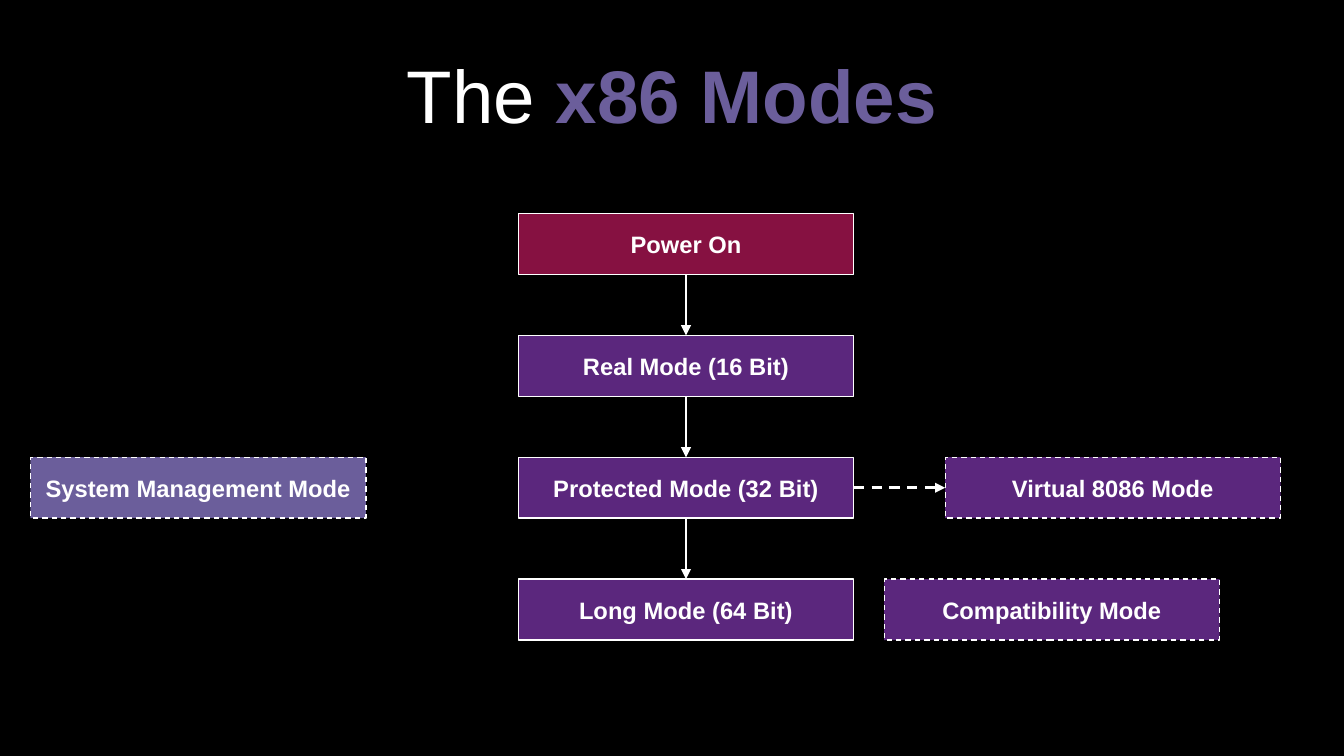
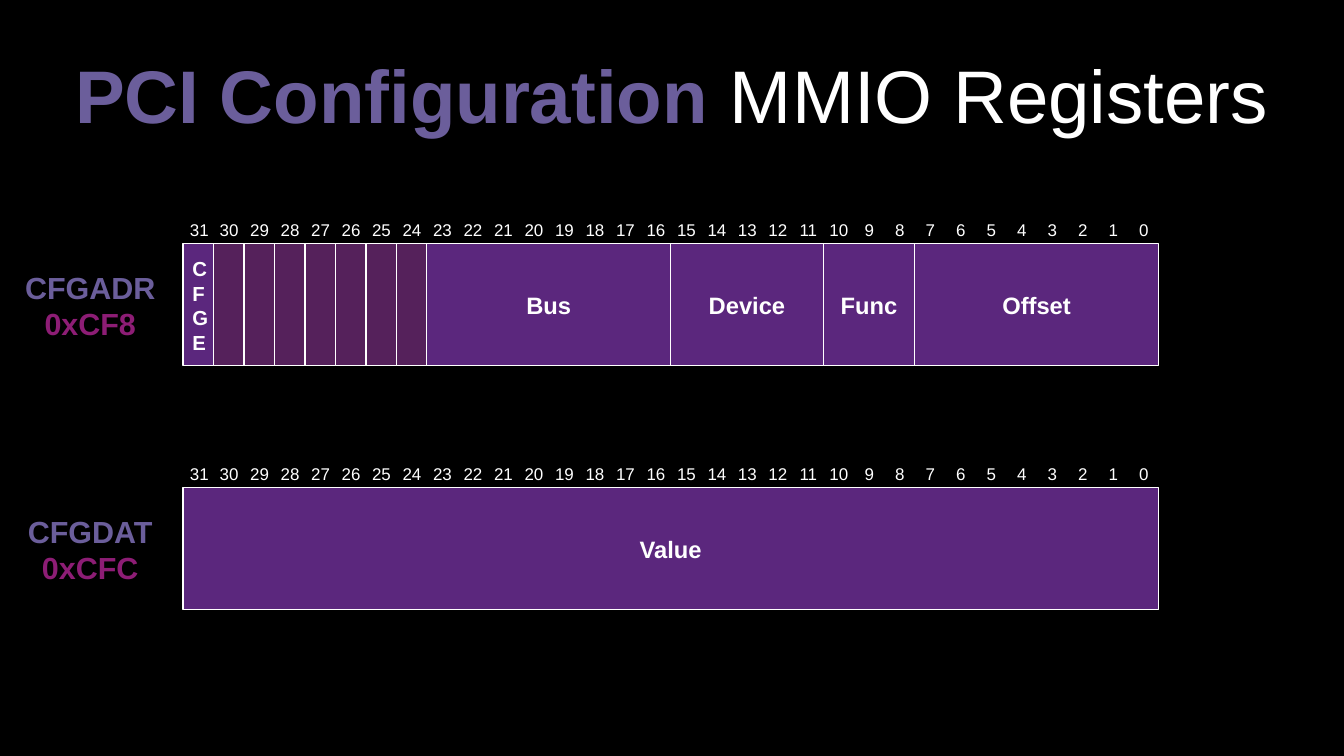
from lxml import etree
from pptx import Presentation
from pptx import util as u
from pptx.dml.color import RGBColor
from pptx.enum import dml, shapes, text
from pptx.oxml.ns import qn

FONT = "Arial"
WHITE, BLACK = "FFFFFF", "000000"
PURPLE, LAVENDER, CRIMSON = "5B277D", "6B5E9B", "861141"
PLUM, MAGENTA = "55215B", "8D1D75"
BIT, FIELD_LEFT = 0.25, 1.5
BOX_W, BOX_H = 2.75, 0.5
MAIN_X = 4.25
CENTER, LEFT = text.PP_ALIGN.CENTER, text.PP_ALIGN.LEFT
MIDDLE, TOP = text.MSO_ANCHOR.MIDDLE, text.MSO_ANCHOR.TOP


def rgb(value):
    """Turn a hex string into a colour."""
    return RGBColor.from_string(value)


def inches(*values):
    """Turn numbers into lengths."""
    return [u.Inches(v) for v in values]


def set_attrs(target, **values):
    """Set every given attribute on the target."""
    for name, value in values.items():
        setattr(target, name, value)


def add_run(p, words, size, color, bold):
    """Append a formatted run to a paragraph."""
    r = p.add_run()
    r.text = words
    set_attrs(r.font, name=FONT, size=u.Pt(size), bold=bold)
    r.font.color.rgb = rgb(color)


def frame_text(sp, paragraphs, align=CENTER, anchor=MIDDLE,
               insets=(0.1, 0.05, 0.1, 0.05)):
    """Fill a text frame with paragraphs, each a list of runs."""
    tf = sp.text_frame
    left, top, right, bottom = inches(*insets)
    set_attrs(tf, word_wrap=True, auto_size=text.MSO_AUTO_SIZE.NONE,
              vertical_anchor=anchor, margin_left=left, margin_top=top,
              margin_right=right, margin_bottom=bottom)
    for i, runs in enumerate(paragraphs):
        p = tf.add_paragraph() if i else tf.paragraphs[0]
        p.alignment = align
        for run in runs:
            add_run(p, *run)
    return tf


def style_line(line, width, dashed):
    """Give a line the white stroke of the deck."""
    line.color.rgb = rgb(WHITE)
    line.width = u.Pt(width)
    if dashed:
        line.dash_style = dml.MSO_LINE.DASH


def add_box(s, x, y, w, h, fill, label="", dashed=False):
    """Add an outlined rectangle with an optional label."""
    sp = s.shapes.add_shape(shapes.MSO_SHAPE.RECTANGLE, *inches(x, y, w, h))
    sp.shadow.inherit = False
    sp.fill.solid()
    sp.fill.fore_color.rgb = rgb(fill)
    style_line(sp.line, 0.79, dashed)
    if label:
        frame_text(sp, [[(label, 14, WHITE, True)]])


def add_text(s, x, y, w, h, paragraphs, **layout):
    """Add a text box and return its frame."""
    return frame_text(s.shapes.add_textbox(*inches(x, y, w, h)), paragraphs, **layout)


def add_arrow(s, x1, y1, x2, y2, dashed=False):
    """Add a straight arrow."""
    cx = s.shapes.add_connector(shapes.MSO_CONNECTOR.STRAIGHT, *inches(x1, y1, x2, y2))
    style_line(cx.line, 1.5, dashed)
    etree.SubElement(cx.line._get_or_add_ln(), qn("a:tailEnd"), type="triangle")
    etree.SubElement(cx._element.spPr, qn("a:effectLst"))


def add_slide(prs, *title_runs):
    """Add a slide with a title of (words, highlighted) runs."""
    s = prs.slides.add_slide(prs.slide_layouts[5])
    runs = [(words, 44, LAVENDER if bold else WHITE, bold) for words, bold in title_runs]
    frame_text(s.shapes.title, [runs], insets=(0, 0, 0, 0))
    return s


def add_bit_numbers(s, y):
    """Number the bits 31 to 0 on centred tab stops."""
    numbers = "\t".join(str(n) for n in range(31, -1, -1))
    tf = add_text(s, 1.46, y, 8.04, BIT, [[(numbers, 10, WHITE, False)]],
                  align=LEFT, anchor=TOP, insets=(0.1, 0.05, 0, 0.05))
    tabs = etree.SubElement(tf.paragraphs[0]._p.get_or_add_pPr(), qn("a:tabLst"))
    for i in range(1, 32):
        etree.SubElement(tabs, qn("a:tab"), pos=str(u.Inches(0.07 + i * BIT)), algn="ctr")


def add_register(s, y, name, address, fields):
    """Draw a register from (label, bits, fill) fields, highest bit first."""
    x = FIELD_LEFT
    for label, bits, fill in fields:
        add_box(s, x, y, bits * BIT, 1, fill, label)
        x += bits * BIT
    add_bit_numbers(s, y - BIT)
    add_text(s, 0, y + 0.13, 1.48, 0.75,
             [[(name, 18, LAVENDER, True)], [(address, 18, MAGENTA, True)]])


def modes_slide(prs):
    """Build the diagram of processor modes."""
    s = add_slide(prs, ("The ", False), ("x86 Modes", True))
    steps = [("Power On", CRIMSON), ("Real Mode (16 Bit)", PURPLE),
             ("Protected Mode (32 Bit)", PURPLE), ("Long Mode (64 Bit)", PURPLE)]
    middle = MAIN_X + BOX_W / 2
    for i, (label, fill) in enumerate(steps):
        y = 1.75 + i
        add_box(s, MAIN_X, y, BOX_W, BOX_H, fill, label)
        if i:
            add_arrow(s, middle, y - BOX_H, middle, y)
    for x, y, fill, label in [(7.75, 3.75, PURPLE, "Virtual 8086 Mode"),
                              (0.25, 3.75, LAVENDER, "System Management Mode"),
                              (7.25, 4.75, PURPLE, "Compatibility Mode")]:
        add_box(s, x, y, BOX_W, BOX_H, fill, label, dashed=True)
    add_arrow(s, MAIN_X + BOX_W, 4, 7.75, 4, dashed=True)


def registers_slide(prs):
    """Build the two register layouts."""
    s = add_slide(prs, ("PCI Configuration ", True), ("MMIO Registers", False))
    address_fields = [("", 1, PURPLE)] + [("", 1, PLUM)] * 7 + [
        ("Bus", 8, PURPLE), ("Device", 5, PURPLE), ("Func", 3, PURPLE), ("Offset", 8, PURPLE)]
    add_register(s, 2, "CFGADR", "0xCF8", address_fields)
    add_text(s, 1.48, 2.08, BIT, 0.85, [[("CFGE", 12, WHITE, True)]], align=LEFT)
    add_register(s, 4, "CFGDAT", "0xCFC", [("Value", 32, PURPLE)])


def main():
    """Set up the shared look, build both slides and save."""
    prs = Presentation()
    prs.slide_width, prs.slide_height = inches(11.02, 6.2)
    background = prs.slide_master.background.fill
    background.solid()
    background.fore_color.rgb = rgb(BLACK)
    left, top, width, height = inches(0.55, 0.25, 9.92, 1.04)
    set_attrs(prs.slide_layouts[5].placeholders[0],
              left=left, top=top, width=width, height=height)
    modes_slide(prs)
    registers_slide(prs)
    prs.save("out.pptx")


main()
